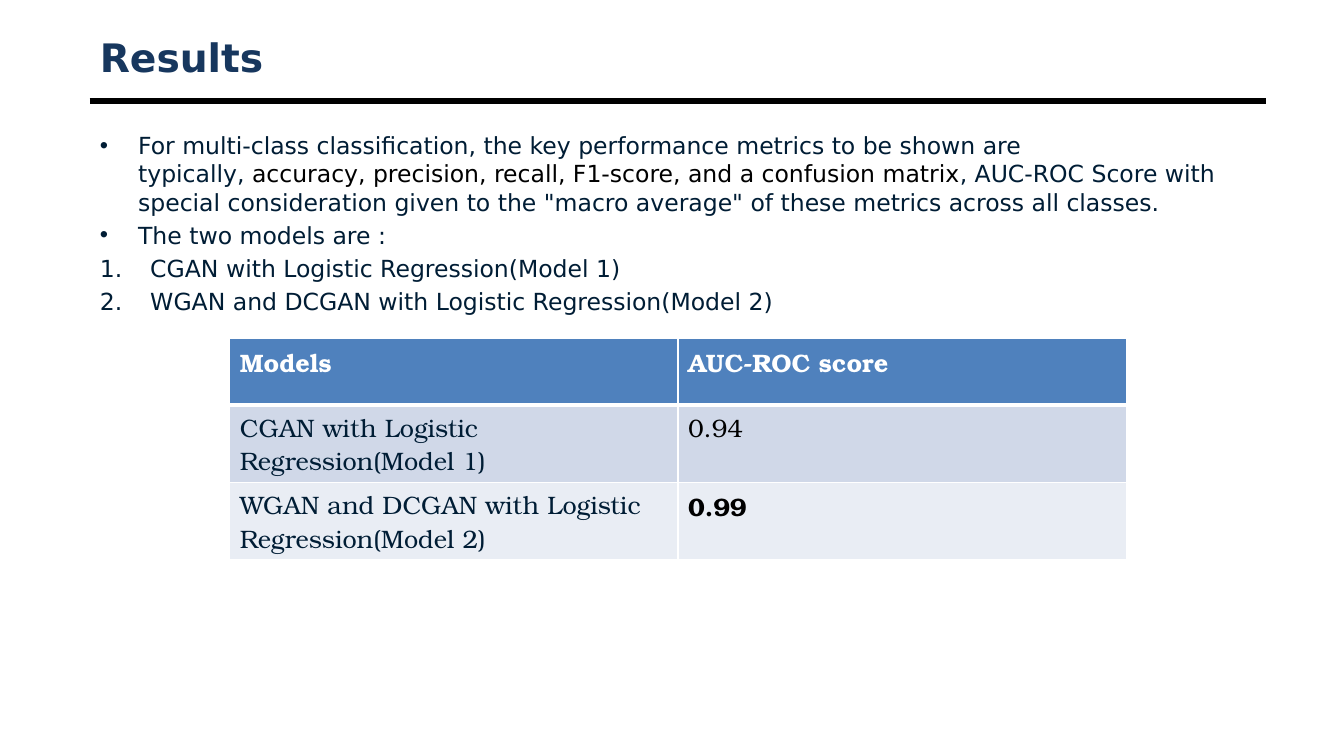
from dataclasses import dataclass

from lxml import etree
from pptx import Presentation
from pptx.dml.color import RGBColor
from pptx.enum import shapes, text
from pptx.oxml.ns import qn
from pptx.util import Inches, Pt

TITLE = "Results"
# Each item: list marker, hanging indent in inches, (wording, colour name) spans
POINTS = [
    ("•", 0.38, [
        ("For multi-class classification, the key performance metrics to be shown are typically,\u00a0", "ink"),
        ("accuracy, precision, recall, F1-score, and a confusion matrix", "black"),
        (', AUC-ROC Score with special consideration given to the "macro average" '
         "of these metrics across all classes.", "ink"),
    ]),
    ("•", 0.38, [("The two models are :", "ink")]),
    ("1.", 0.5, [("CGAN with Logistic Regression(Model 1)", "ink")]),
    ("1.", 0.5, [("WGAN and DCGAN with Logistic Regression(Model 2)", "ink")]),
]
SCORES = [
    ("Models", "AUC-ROC score"),
    ("CGAN with Logistic Regression(Model 1)", "0.94"),
    ("WGAN and DCGAN with Logistic Regression(Model 2)", "0.99"),
]
BEST_SCORE = "0.99"


@dataclass(frozen=True)
class Theme:
    title: str = "17375E"
    ink: str = "001D35"
    black: str = "000000"
    white: str = "FFFFFF"
    row_fills: tuple = ("4F81BD", "D0D8E8", "E9EDF4")
    sans: str = "DejaVu Sans"
    serif: str = "TeX Gyre Bonum"
    title_size: float = 28
    body_size: float = 16.8
    table_size: float = 18


THEME = Theme()
LEFT, WIDTH = 0.89, 11.67
RULE_Y = 1
TABLE_BOX = (2.28, 3.36, 8.89, 1.98)


def add_span(para, wording, *, size, color, font=THEME.sans, bold=False):
    span = para.add_run()
    span.text = wording
    span.font.name = font
    span.font.size = Pt(size)
    span.font.bold = bold
    span.font.color.rgb = RGBColor.from_string(color)


def place(shape, left, top, width, height):
    shape.left, shape.top = Inches(left), Inches(top)
    shape.width, shape.height = Inches(width), Inches(height)


def set_marker(para, marker, indent):
    """Give the paragraph a hanging bullet or an automatic number."""
    props = para._p.get_or_add_pPr()
    props.set("marL", str(Inches(indent)))
    props.set("indent", str(-Inches(indent)))
    if marker == "•":
        font = etree.SubElement(props, qn("a:buFont"))
        font.set("typeface", "Arial")
        etree.SubElement(props, qn("a:buChar")).set("char", marker)
    else:
        font = etree.SubElement(props, qn("a:buFont"))
        font.set("typeface", "+mj-lt")
        etree.SubElement(props, qn("a:buAutoNum")).set("type", "arabicPeriod")


def set_borders(cell, widths):
    """Draw white borders; widths maps a side (L, R, T, B) to points."""
    props = cell._tc.get_or_add_tcPr()
    for side, width in widths.items():
        line = etree.SubElement(props, qn(f"a:ln{side}"), w=str(Pt(width)))
        fill = etree.SubElement(line, qn("a:solidFill"))
        etree.SubElement(fill, qn("a:srgbClr"), val=THEME.white)


def add_rule(page):
    rule = page.shapes.add_connector(
        shapes.MSO_CONNECTOR.STRAIGHT,
        Inches(LEFT), Inches(RULE_Y), Inches(LEFT + WIDTH), Inches(RULE_Y))
    rule.line.color.rgb = RGBColor.from_string(THEME.black)
    rule.line.width = Pt(4.5)
    etree.SubElement(rule._element.spPr, qn("a:effectLst"))


def fill_title(page):
    box = page.shapes.title
    place(box, LEFT, 0.3, WIDTH, 0.53)
    frame = box.text_frame
    frame.auto_size = text.MSO_AUTO_SIZE.NONE
    frame.vertical_anchor = text.MSO_ANCHOR.MIDDLE
    para = frame.paragraphs[0]
    para.alignment = text.PP_ALIGN.LEFT
    add_span(para, TITLE, size=THEME.title_size, color=THEME.title, bold=True)


def fill_points(page):
    box = page.placeholders[1]
    place(box, LEFT, 1.25, WIDTH, 1.81)
    frame = box.text_frame
    frame.auto_size = text.MSO_AUTO_SIZE.NONE
    for index, (marker, indent, spans) in enumerate(POINTS):
        para = frame.add_paragraph() if index else frame.paragraphs[0]
        if index == 0:
            para.space_before = Pt(0)
        set_marker(para, marker, indent)
        for wording, color in spans:
            add_span(para, wording, size=THEME.body_size, color=getattr(THEME, color))


def add_scores(page):
    frame = page.shapes.add_table(len(SCORES), len(SCORES[0]), *map(Inches, TABLE_BOX))
    table = frame.table
    table.first_row = table.horz_banding = False
    for r, row in enumerate(SCORES):
        for c, wording in enumerate(row):
            cell = table.cell(r, c)
            set_borders(cell, {"L": 1, "R": 1, "T": 3 if r == 1 else 1, "B": 3 if r == 0 else 1})
            cell.fill.solid()
            cell.fill.fore_color.rgb = RGBColor.from_string(THEME.row_fills[r])
            color = THEME.white if r == 0 else THEME.black if c else THEME.ink
            add_span(cell.text_frame.paragraphs[0], wording, size=THEME.table_size,
                     color=color, font=THEME.serif, bold=r == 0 or wording == BEST_SCORE)


def main():
    deck = Presentation()
    deck.slide_width, deck.slide_height = Inches(13.33), Inches(7.5)
    page = deck.slides.add_slide(deck.slide_layouts[1])
    add_rule(page)
    fill_title(page)
    fill_points(page)
    add_scores(page)
    deck.save("out.pptx")


if __name__ == "__main__":
    main()
